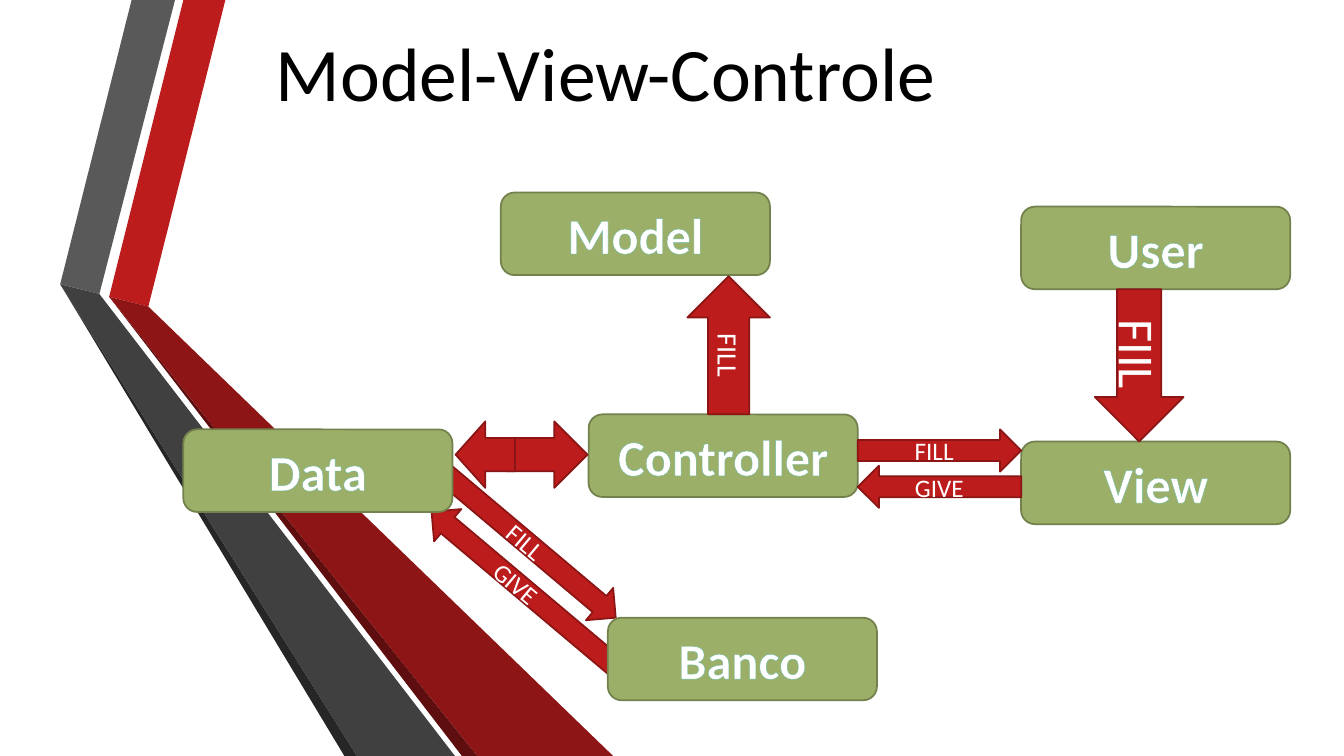
import pptx
import pptx.dml.color
import pptx.enum.shapes
import pptx.enum.text
import pptx.oxml
import pptx.oxml.ns
import pptx.util

Pt = pptx.util.Pt
MSO_SHAPE = pptx.enum.shapes.MSO_SHAPE
PP_ALIGN = pptx.enum.text.PP_ALIGN

SLIDE_WIDTH, SLIDE_HEIGHT = 960, 540
BOX_WIDTH, BOX_HEIGHT = 192.2, 59
ARROW_HEIGHT = 30.2


def color(value):
    return pptx.dml.color.RGBColor.from_string(value)


class DiagramSlide:
    font_name = "Calibri"
    white, black = "FFFFFF", "000000"
    box_fill, box_line = "9BAF68", "73814D"
    arrow_fill, arrow_line = "BC1C1C", "8B1515"
    glow = "68B9A6"

    def __init__(self, presentation):
        self.slide = presentation.slides.add_slide(presentation.slide_layouts[6])

    def ribbon(self, points, fill):
        builder = self.slide.shapes.build_freeform(*points[0], scale=Pt(1))
        builder.add_line_segments(points[1:], close=True)
        shape = builder.convert_to_shape()
        shape.shadow.inherit = False
        shape.fill.solid()
        shape.fill.fore_color.rgb = color(fill)
        shape.line.fill.background()

    def set_text(self, shape, text, size, text_color=white, bold=False, align=PP_ALIGN.CENTER):
        frame = shape.text_frame
        frame.word_wrap = True
        frame.vertical_anchor = pptx.enum.text.MSO_ANCHOR.MIDDLE
        paragraph = frame.paragraphs[0]
        paragraph.text = text
        paragraph.alignment = align
        paragraph.font.name = self.font_name
        paragraph.font.size = Pt(size)
        paragraph.font.bold = bold
        paragraph.font.color.rgb = color(text_color)
        return paragraph

    def preset(self, kind, left, top, width, height, fill, line, rotation=0):
        shape = self.slide.shapes.add_shape(kind, Pt(left), Pt(top), Pt(width), Pt(height))
        shape.shadow.inherit = False
        shape.rotation = rotation
        shape.fill.solid()
        shape.fill.fore_color.rgb = color(fill)
        shape.line.color.rgb = color(line)
        shape.line.width = Pt(1.25)
        return shape

    def box(self, text, left, top):
        shape = self.preset(MSO_SHAPE.ROUNDED_RECTANGLE, left, top, BOX_WIDTH, BOX_HEIGHT,
                            self.box_fill, self.box_line)
        paragraph = self.set_text(shape, text, 36, bold=True)
        outline = pptx.oxml.parse_xml(
            f'<a:ln {pptx.oxml.ns.nsdecls("a")} w="{Pt(0.8)}">'
            f'<a:solidFill><a:srgbClr val="{self.glow}"/></a:solidFill></a:ln>')
        paragraph._p.get_or_add_pPr().get_or_add_defRPr().insert(0, outline)

    def arrow(self, kind, left, top, width, height, text="", size=18, rotation=0, direction=None):
        shape = self.preset(kind, left, top, width, height,
                            self.arrow_fill, self.arrow_line, rotation)
        if text:
            self.set_text(shape, text, size)
        if direction:
            shape.text_frame._txBody.bodyPr.set("vert", direction)

    def label(self, text, left, top, width, height, size=18, rotation=0,
              text_color=white, align=PP_ALIGN.CENTER):
        shape = self.slide.shapes.add_textbox(Pt(left), Pt(top), Pt(width), Pt(height))
        shape.rotation = rotation
        self.set_text(shape, text, size, text_color, align=align)


def draw_ribbons(slide):
    gray_bend, gray_inner = (43.2, 203), (71.3, 210.2)
    red_bend, red_inner = (77.8, 211.7), (105.8, 218.9)
    gray_foot, red_foot = (254.9, SLIDE_HEIGHT), (340.6, SLIDE_HEIGHT)
    slide.ribbon([red_bend, red_inner, (161.3, 0), (131, 0)], "BC1C1C")
    slide.ribbon([gray_inner, (124.6, 0), (94.3, 0), gray_bend], "595959")
    slide.ribbon([gray_bend, (245.5, SLIDE_HEIGHT), gray_foot], "262626")
    slide.ribbon([red_foot, red_bend, (330.5, SLIDE_HEIGHT)], "5E0E0E")
    slide.ribbon([red_bend, red_foot, (437.8, SLIDE_HEIGHT), red_inner], "8D1515")
    slide.ribbon([(325.4, SLIDE_HEIGHT), gray_inner, gray_bend, gray_foot], "404040")


def draw_diagram(slide):
    right, down = MSO_SHAPE.RIGHT_ARROW, MSO_SHAPE.DOWN_ARROW
    slope = 40.1
    for text, left, top in [("Model", 357.8, 137.5), ("Controller", 420.5, 296),
                            ("User", 729.4, 147.6), ("View", 729.4, 315.4)]:
        slide.box(text, left, top)

    slide.arrow(down, 782, 206.6, 63.4, 108.7, "FIIL", 36, direction="vert")
    slide.arrow(down, 491, 197.3, 59, 98.6, "FILL", 20, 180, "vert270")
    slide.arrow(right, 612.7, 306.7, 116.7, ARROW_HEIGHT, "FILL")
    slide.arrow(right, 612.7, 332.6, 116.7, ARROW_HEIGHT, rotation=180)
    slide.label("GIVE", 635, 334.8, 72, 26.6)
    slide.arrow(right, 298.1, 374.4, 160.6, ARROW_HEIGHT, "FILL", rotation=slope)
    slide.arrow(right, 286.6, 409.7, 184.3, ARROW_HEIGHT, rotation=slope + 180)
    slide.label("GIVE", 319, 403.2, 99.4, 26.6, rotation=slope)

    slide.box("Banco", 434.2, 441.2)
    slide.box("Data", 131, 306.7)
    slide.arrow(right, 361.4, 301, 58.3, 47.5)
    slide.arrow(right, 325.4, 301, 42.5, 47.5, rotation=180)


def main():
    presentation = pptx.Presentation()
    presentation.slide_width = Pt(SLIDE_WIDTH)
    presentation.slide_height = Pt(SLIDE_HEIGHT)
    slide = DiagramSlide(presentation)
    draw_ribbons(slide)
    slide.label("Model-View-Controle", 0, 14.4, 675.4, 73, 54,
                text_color=slide.black, align=PP_ALIGN.RIGHT)
    draw_diagram(slide)
    presentation.save("out.pptx")


if __name__ == "__main__":
    main()
